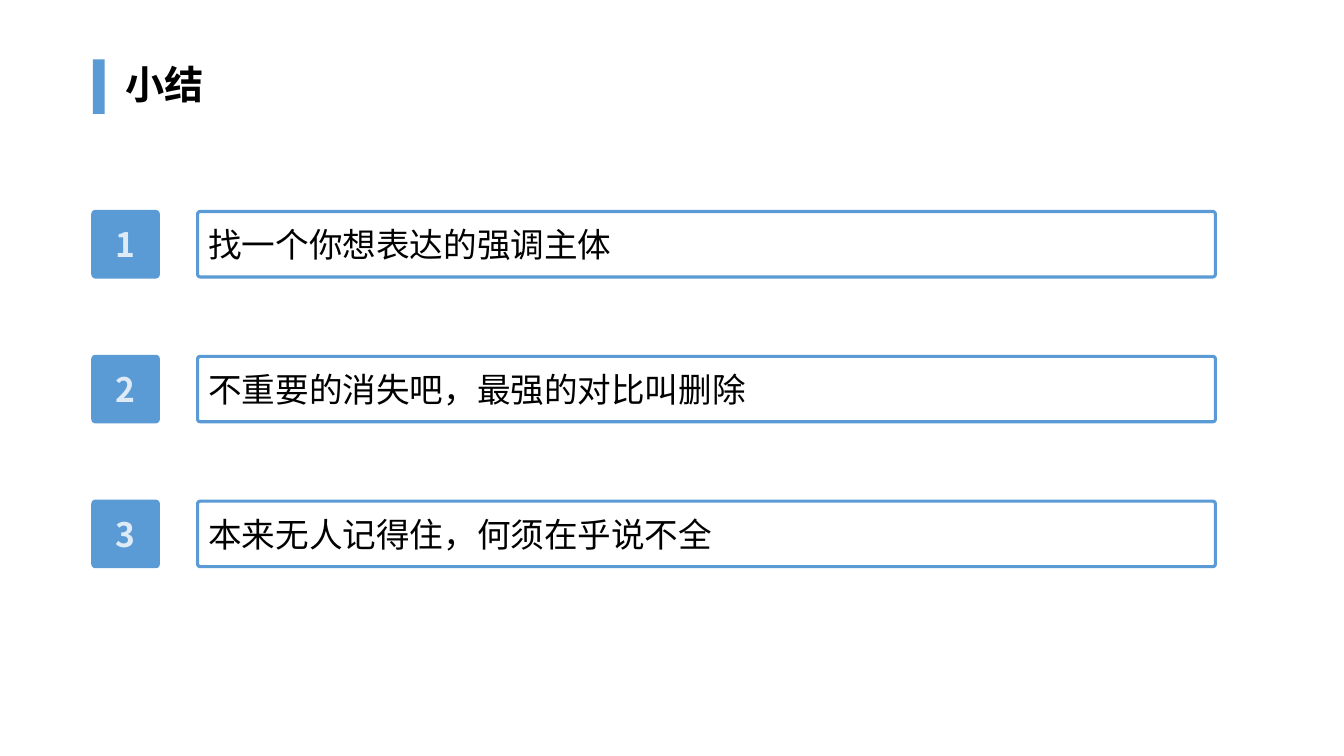
from dataclasses import dataclass

from lxml import etree
from pptx import Presentation
from pptx.dml.color import RGBColor
from pptx.enum.shapes import MSO_SHAPE
from pptx.enum.text import MSO_ANCHOR, PP_ALIGN
from pptx.oxml.ns import qn
from pptx.util import Cm, Pt

RECTANGLE = MSO_SHAPE.RECTANGLE
ROUNDED = MSO_SHAPE.ROUNDED_RECTANGLE
MIDDLE = MSO_ANCHOR.MIDDLE
LEFT, CENTER = PP_ALIGN.LEFT, PP_ALIGN.CENTER


@dataclass(frozen=True)
class Theme:
    accent: RGBColor = RGBColor(0x5B, 0x9B, 0xD5)
    pale: RGBColor = RGBColor(0xDE, 0xEB, 0xF7)
    ink: RGBColor = RGBColor(0, 0, 0)
    font: str = "Noto Sans CJK SC"
    title_size: Pt = Pt(28)
    body_size: Pt = Pt(24)
    outline: Pt = Pt(2.25)
    corner: float = 0.04


THEME = Theme()
POINTS = (
    "找一个你想表达的强调主体",
    "不重要的消失吧，最强的对比叫删除",
    "本来无人记得住，何须在乎说不全",
)
MARGIN = Cm(2.34)
FIRST_ROW = Cm(5.33)
ROW_PITCH = Cm(3.65)
ROW_HEIGHT = Cm(1.65)
POINT_LEFT = Cm(4.98)
POINT_WIDTH = Cm(25.65)


def write_text(box, text, color, size, bold=False, align=LEFT, spacing=1.0):
    frame = box.text_frame
    frame.word_wrap = True
    frame.vertical_anchor = MIDDLE
    para = frame.paragraphs[0]
    para.alignment = align
    para.line_spacing = spacing
    span = para.add_run()
    span.text = text
    span.font.color.rgb = color
    formats = {"name": THEME.font, "size": size, "bold": bold}
    for name, value in formats.items():
        setattr(span.font, name, value)
    east_asian = etree.SubElement(span.font._element, qn("a:ea"))
    east_asian.set("typeface", THEME.font)


def add_title(page, text):
    bar = page.shapes.add_shape(RECTANGLE, MARGIN, Cm(1.5), Cm(0.3), Cm(1.37))
    bar.shadow.inherit = False
    bar.fill.solid()
    bar.fill.fore_color.rgb = THEME.accent
    bar.line.fill.background()
    box = page.shapes.add_textbox(Cm(2.92), Cm(1.52), Cm(28.63), Cm(1.35))
    write_text(box, text, THEME.ink, THEME.title_size, bold=True, spacing=0.9)


def add_rounded_box(page, left, top, width, filled):
    box = page.shapes.add_shape(ROUNDED, left, top, width, ROW_HEIGHT)
    box.adjustments[0] = THEME.corner
    box.shadow.inherit = False
    box.line.color.rgb = THEME.accent
    box.line.width = THEME.outline
    if filled:
        box.fill.solid()
        box.fill.fore_color.rgb = THEME.accent
    else:
        box.fill.background()
    return box


def add_point(page, number, text):
    top = FIRST_ROW + (number - 1) * ROW_PITCH
    badge = add_rounded_box(page, MARGIN, top, ROW_HEIGHT, filled=True)
    write_text(badge, str(number), THEME.pale, THEME.body_size, bold=True, align=CENTER)
    box = add_rounded_box(page, POINT_LEFT, top, POINT_WIDTH, filled=False)
    write_text(box, text, THEME.ink, THEME.body_size)


def main():
    deck = Presentation()
    deck.slide_width, deck.slide_height = Cm(33.87), Cm(19.05)
    page = deck.slides.add_slide(deck.slide_layouts[6])
    add_title(page, "小结")
    for number, text in enumerate(POINTS, start=1):
        add_point(page, number, text)
    deck.save("out.pptx")


if __name__ == "__main__":
    main()
